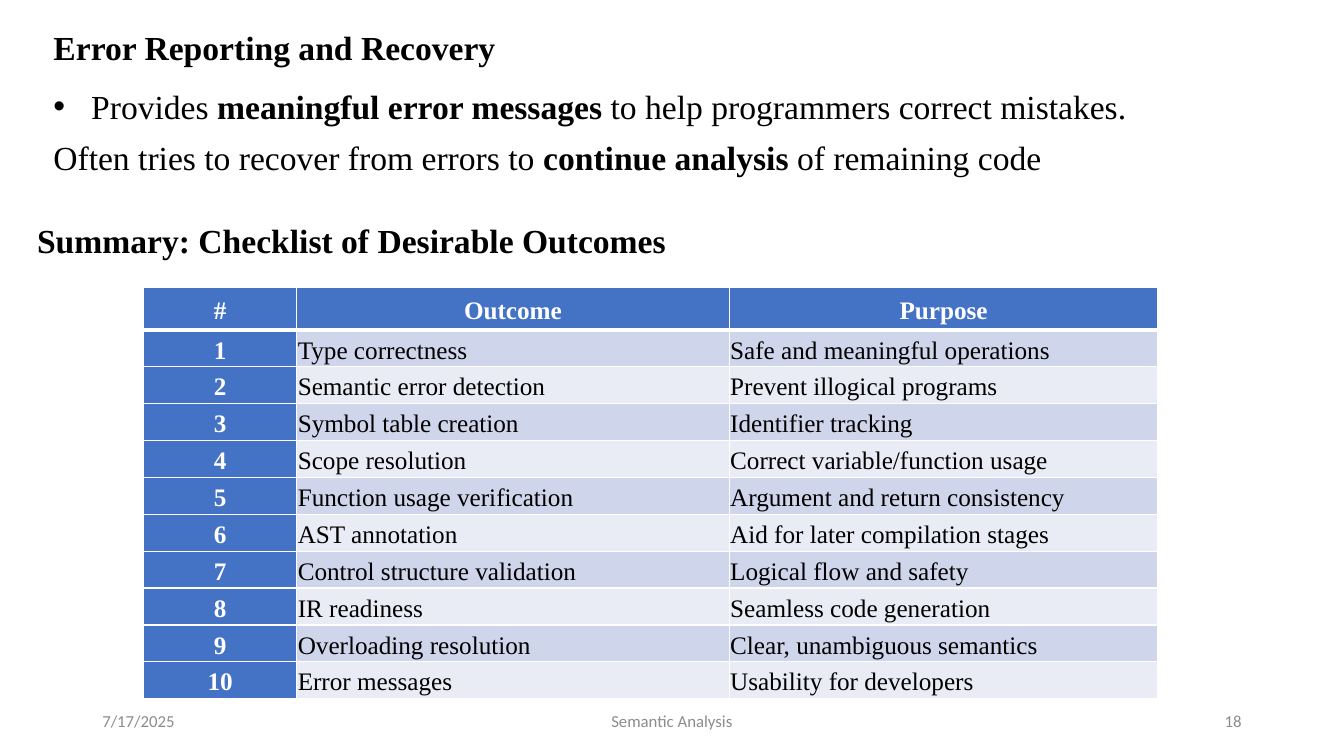
from dataclasses import dataclass

from lxml import etree
from pptx import Presentation
from pptx.dml.color import RGBColor
from pptx.enum.text import MSO_ANCHOR, MSO_AUTO_SIZE, PP_ALIGN
from pptx.oxml.ns import qn
from pptx.util import Pt

LEFT, CENTER, RIGHT = PP_ALIGN.LEFT, PP_ALIGN.CENTER, PP_ALIGN.RIGHT
TOP, MIDDLE = MSO_ANCHOR.TOP, MSO_ANCHOR.MIDDLE
NO_FIT = MSO_AUTO_SIZE.NONE
TITLE_ONLY = 5


@dataclass(frozen=True)
class Theme:
    serif: str = "Times New Roman"
    sans: str = "Calibri"
    black: str = "000000"
    white: str = "FFFFFF"
    blue: str = "4472C4"
    bands: tuple = ("CFD5EA", "E9EBF5")
    gray: str = "8C8C8C"
    heading_size: int = 24
    table_size: int = 18
    footer_size: int = 12
    line_spacing: float = 1.15
    space_after: int = 8


THEME = Theme()

OUTCOMES = [
    ("Type correctness", "Safe and meaningful operations"),
    ("Semantic error detection", "Prevent illogical programs"),
    ("Symbol table creation", "Identifier tracking"),
    ("Scope resolution", "Correct variable/function usage"),
    ("Function usage verification", "Argument and return consistency"),
    ("AST annotation", "Aid for later compilation stages"),
    ("Control structure validation", "Logical flow and safety"),
    ("IR readiness", "Seamless code generation"),
    ("Overloading resolution", "Clear, unambiguous semantics"),
    ("Error messages", "Usability for developers"),
]


def add_span(para, text, size, color=THEME.black, bold=False, font=THEME.serif):
    span = para.add_run()
    span.text = text
    span.font.name = font
    span.font.size = Pt(size)
    span.font.bold = bold
    span.font.color.rgb = RGBColor.from_string(color)


def space_para(para, align=LEFT):
    para.alignment = align
    para.line_spacing = THEME.line_spacing
    para.space_after = Pt(THEME.space_after)


def add_bullet(para, indent):
    properties = para._p.get_or_add_pPr()
    properties.set("marL", str(Pt(indent)))
    properties.set("indent", str(-Pt(indent)))
    etree.SubElement(properties, qn("a:buFont"), typeface="Arial")
    etree.SubElement(properties, qn("a:buChar"), char="•")


def add_text_box(page, box, anchor=TOP):
    frame = page.shapes.add_textbox(*map(Pt, box)).text_frame
    frame.word_wrap = True
    frame.vertical_anchor = anchor
    return frame


def add_title(page, box, text):
    title = page.shapes.title
    title.left, title.top, title.width, title.height = map(Pt, box)
    frame = title.text_frame
    frame.auto_size = NO_FIT
    frame.vertical_anchor = TOP
    para = frame.paragraphs[0]
    space_para(para)
    add_span(para, text, THEME.heading_size, bold=True)


def add_body(page, box):
    frame = add_text_box(page, box)
    frame.margin_top = 0
    first = frame.paragraphs[0]
    space_para(first)
    add_bullet(first, 27)
    lines = [
        (first, ("Provides ", "meaningful error messages",
                 " to help programmers correct mistakes.")),
        (frame.add_paragraph(), ("Often tries to recover from errors to ",
                                 "continue analysis", " of remaining code")),
    ]
    for para, parts in lines:
        for index, text in enumerate(parts):
            add_span(para, text, THEME.heading_size, bold=index == 1)


def add_subheading(page, box, text):
    para = add_text_box(page, box).paragraphs[0]
    space_para(para)
    add_span(para, text, THEME.heading_size, bold=True)


def add_borders(cell, widths):
    properties = cell._tc.get_or_add_tcPr()
    for side, width in zip("LRTB", widths):
        line = etree.SubElement(properties, qn(f"a:ln{side}"), w=str(Pt(width)))
        fill = etree.SubElement(line, qn("a:solidFill"))
        etree.SubElement(fill, qn("a:srgbClr"), val=THEME.white)


def fill_cell(cell, text, row, column):
    header = row == 0
    strong = header or column == 0
    add_borders(cell, (1, 1, 3 if row == 1 else 1, 3 if header else 1))
    cell.fill.solid()
    color = THEME.blue if strong else THEME.bands[(row - 1) % 2]
    cell.fill.fore_color.rgb = RGBColor.from_string(color)
    cell.margin_left = cell.margin_right = Pt(0.7)
    cell.margin_top = cell.margin_bottom = Pt(0.7)
    cell.vertical_anchor = MIDDLE
    para = cell.text_frame.paragraphs[0]
    space_para(para, CENTER if strong else LEFT)
    add_span(para, text, THEME.table_size,
             THEME.white if strong else THEME.black, strong)


def add_checklist(page, box):
    rows = [("#", "Outcome", "Purpose")]
    rows += [(str(number), *pair) for number, pair in enumerate(OUTCOMES, 1)]
    table = page.shapes.add_table(len(rows), 3, *map(Pt, box)).table
    width, height = box[2:]
    number_width, outcome_width, header_height = 109.4, 308.9, 30.2
    widths = (number_width, outcome_width, width - number_width - outcome_width)
    for column, column_width in zip(table.columns, widths):
        column.width = Pt(column_width)
    for index, values in enumerate(rows):
        body_height = (height - header_height) / len(OUTCOMES)
        table.rows[index].height = Pt(body_height if index else header_height)
        for column, text in enumerate(values):
            fill_cell(table.cell(index, column), text, index, column)


def add_footer(page, box):
    left, top, width, height = box
    side, middle = 216, 324
    parts = [
        (left, side, LEFT, "7/17/2025"),
        (left + (width - middle) / 2, middle, CENTER, "Semantic Analysis"),
        (left + width - side, side, RIGHT, "18"),
    ]
    for start, part_width, align, text in parts:
        frame = add_text_box(page, (start, top, part_width, height), MIDDLE)
        para = frame.paragraphs[0]
        para.alignment = align
        add_span(para, text, THEME.footer_size, THEME.gray, font=THEME.sans)


def build_checklist_page(deck):
    page = deck.slides.add_slide(deck.slide_layouts[TITLE_ONLY])
    # Error reporting
    add_title(page, (31, 11.5, 893.5, 43), "Error Reporting and Recovery")
    add_body(page, (31, 57, 893.5, 74))
    # Summary table
    add_subheading(page, (19.4, 149, 480.2, 38.9),
                   "Summary: Checklist of Desirable Outcomes")
    add_checklist(page, (102.6, 205.5, 724.6, 293.6))
    # Footer
    add_footer(page, (66, 500.5, 828, 28.8))


def main():
    deck = Presentation()
    deck.slide_width, deck.slide_height = Pt(960), Pt(540)
    build_checklist_page(deck)
    deck.save("out.pptx")


if __name__ == "__main__":
    main()
